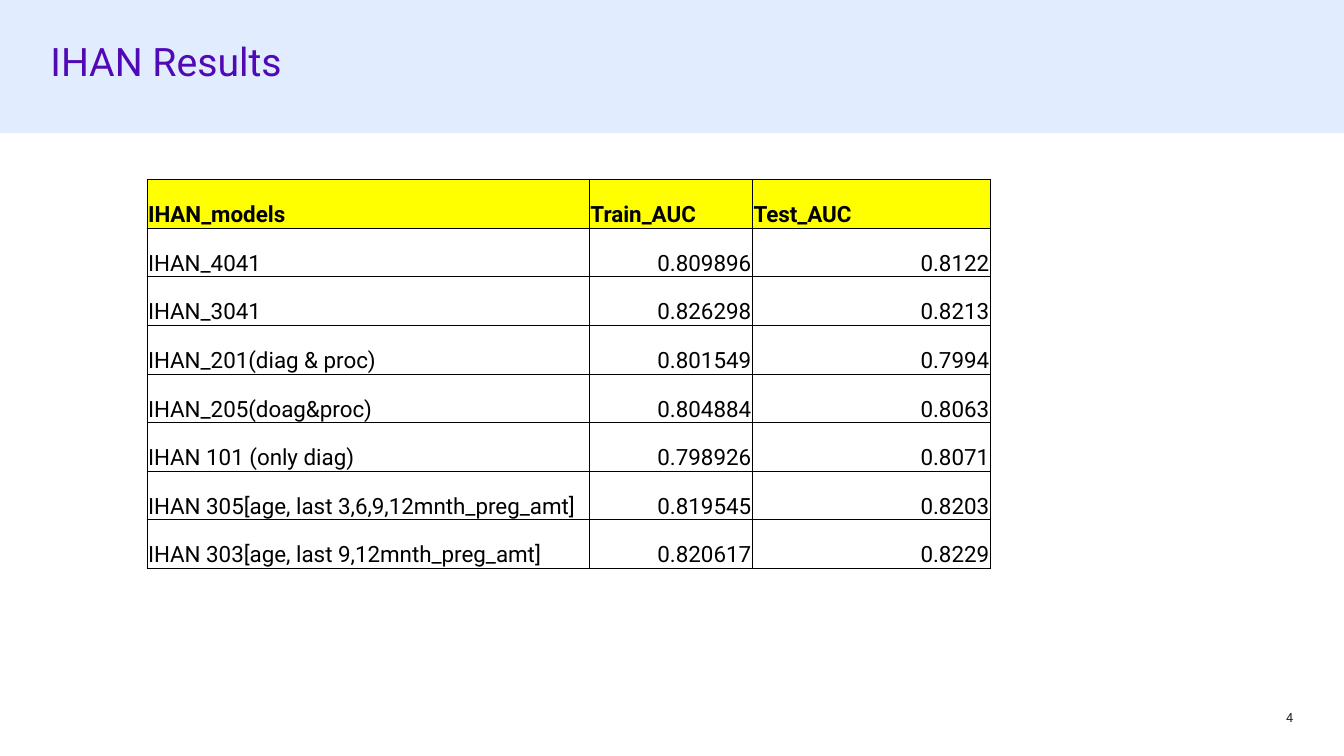
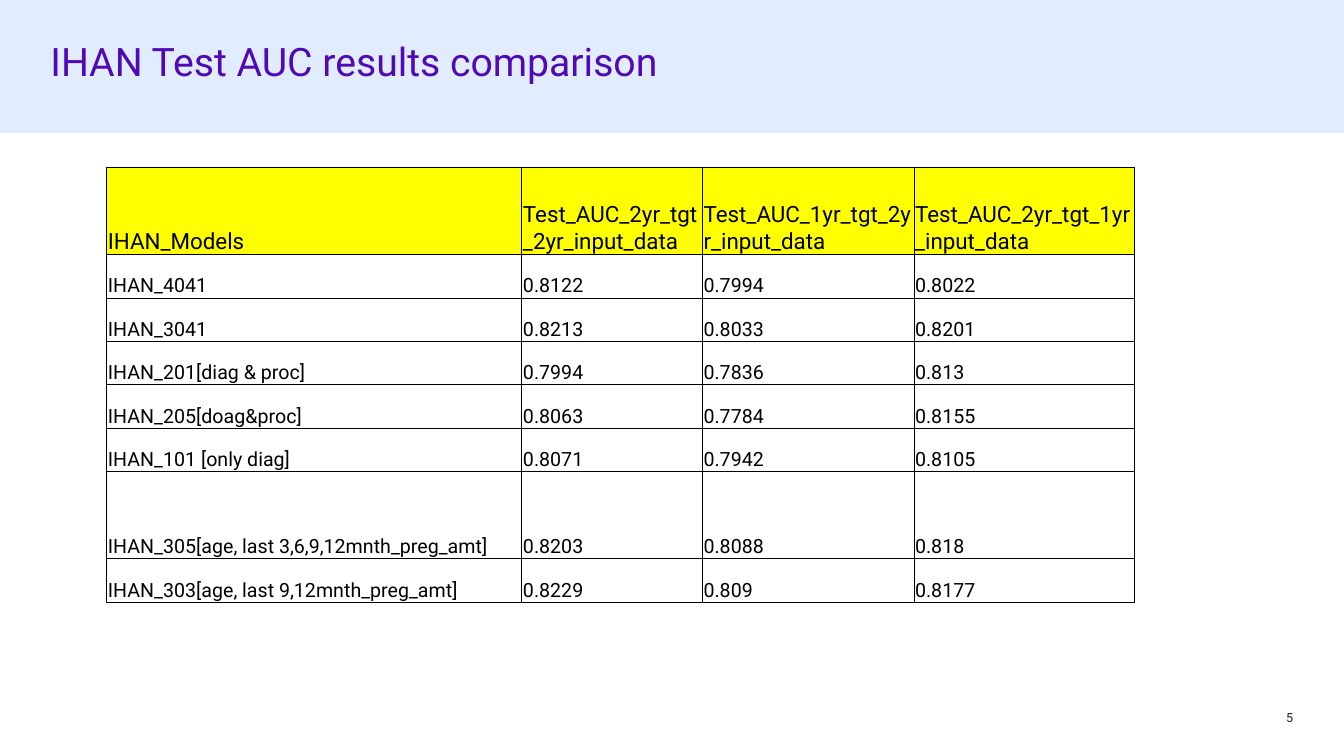
from lxml.etree import SubElement
from pptx import Presentation
from pptx.dml.color import RGBColor
from pptx.enum.shapes import MSO_SHAPE as Shape
from pptx.enum.text import MSO_ANCHOR as Anchor, MSO_AUTO_SIZE as AutoSize, PP_ALIGN as Align
from pptx.oxml.ns import qn
from pptx.util import Cm, Pt

WIDTH, HEIGHT = 33.87, 19.05
FONT = "Roboto"
COLORS = {"band": "E1EDFF", "title": "5009B5", "number": "231E33",
          "text": "000000", "header": "FFFF00", "border": "000000"}


def color(name):
    return RGBColor.from_string(COLORS[name])


def apply_format(target, values):
    for name, value in values.items():
        setattr(target, name, value)


class ResultDeck:
    """Holds the shared style and the slide being built."""

    frame_format = {"margin_left": 0, "margin_right": 0, "margin_top": 0,
                    "margin_bottom": 0, "word_wrap": True, "auto_size": AutoSize.NONE}
    cell_format = {"margin_left": Cm(0.03), "margin_right": Cm(0.03), "margin_top": Cm(0.03),
                   "margin_bottom": 0, "vertical_anchor": Anchor.BOTTOM}

    def __init__(self):
        self.deck = Presentation()
        apply_format(self.deck, {"slide_width": Cm(WIDTH), "slide_height": Cm(HEIGHT)})
        self.slide = None

    def add_text(self, frame, text, size, ink="text", bold=False, align=Align.LEFT):
        para = frame.paragraphs[0]
        para.alignment = align
        span = para.add_run()
        span.text = text
        apply_format(span.font, {"name": FONT, "size": Pt(size), "bold": bold})
        span.font.color.rgb = color(ink)
        return para

    def add_page(self, title, number):
        self.slide = self.deck.slides.add_slide(self.deck.slide_layouts[5])
        self.add_band()
        self.add_title(title)
        self.add_number(number)

    def add_band(self):
        band = self.slide.shapes.add_shape(Shape.RECTANGLE, 0, 0, Cm(WIDTH), Cm(3.35))
        band.shadow.inherit = False
        band.fill.solid()
        band.fill.fore_color.rgb = color("band")
        band.line.fill.background()
        # The band lies behind the title
        self.slide.shapes.title._element.addprevious(band._element)

    def add_title(self, text):
        title = self.slide.shapes.title
        apply_format(title, {"left": Cm(1.27), "top": Cm(1.07),
                             "width": Cm(31.32), "height": Cm(2.28)})
        apply_format(title.text_frame, {**self.frame_format, "vertical_anchor": Anchor.TOP})
        self.add_text(title.text_frame, text, 28, "title").line_spacing = 0.9

    def add_number(self, number):
        box = self.slide.shapes.add_textbox(Cm(31.55), Cm(17.88), Cm(1.04), Cm(0.38))
        apply_format(box.text_frame, {**self.frame_format, "vertical_anchor": Anchor.BOTTOM})
        self.add_text(box.text_frame, str(number), 9, "number", align=Align.RIGHT)

    def add_table(self, left, top, height, widths, rows, body_size,
                  header_bold=False, value_align=Align.LEFT, tall_rows=()):
        frame = self.slide.shapes.add_table(len(rows), len(widths), Cm(left), Cm(top),
                                            Cm(sum(widths)), Cm(height))
        table = frame.table
        apply_format(table, {"first_row": False, "horz_banding": False})
        for column, width in zip(table.columns, widths):
            column.width = Cm(width)

        # Tall rows take two units of height, the others one
        unit = height / (len(rows) + len(tall_rows))
        for r, values in enumerate(rows):
            table.rows[r].height = Cm(unit * (2 if r in tall_rows else 1))
            for c, value in enumerate(values):
                cell = table.cell(r, c)
                apply_format(cell, self.cell_format)
                self.add_borders(cell)
                if r == 0:
                    cell.fill.solid()
                    cell.fill.fore_color.rgb = color("header")
                    self.add_text(cell.text_frame, value, 16, bold=header_bold)
                else:
                    cell.fill.background()
                    self.add_text(cell.text_frame, value, body_size,
                                  align=value_align if c else Align.LEFT)

    def add_borders(self, cell):
        properties = cell._tc.get_or_add_tcPr()
        for side in ("lnL", "lnR", "lnT", "lnB"):
            line = SubElement(properties, qn(f"a:{side}"), w=str(Pt(0.5)))
            fill = SubElement(line, qn("a:solidFill"))
            SubElement(fill, qn("a:srgbClr"), val=COLORS["border"])


MODEL_ROWS = [
    ("IHAN_models", "Train_AUC", "Test_AUC"),
    ("IHAN_4041", "0.809896", "0.8122"),
    ("IHAN_3041", "0.826298", "0.8213"),
    ("IHAN_201(diag & proc)", "0.801549", "0.7994"),
    ("IHAN_205(doag&proc)", "0.804884", "0.8063"),
    ("IHAN 101 (only diag)", "0.798926", "0.8071"),
    ("IHAN 305[age, last 3,6,9,12mnth_preg_amt]", "0.819545", "0.8203"),
    ("IHAN 303[age, last 9,12mnth_preg_amt]", "0.820617", "0.8229"),
]

COMPARISON_ROWS = [
    ("IHAN_Models", "Test_AUC_2yr_tgt_2yr_input_data",
     "Test_AUC_1yr_tgt_2yr_input_data", "Test_AUC_2yr_tgt_1yr_input_data"),
    ("IHAN_4041", "0.8122", "0.7994", "0.8022"),
    ("IHAN_3041", "0.8213", "0.8033", "0.8201"),
    ("IHAN_201[diag & proc]", "0.7994", "0.7836", "0.813"),
    ("IHAN_205[doag&proc]", "0.8063", "0.7784", "0.8155"),
    ("IHAN_101 [only diag]", "0.8071", "0.7942", "0.8105"),
    ("IHAN_305[age, last 3,6,9,12mnth_preg_amt]", "0.8203", "0.8088", "0.818"),
    ("IHAN_303[age, last 9,12mnth_preg_amt]", "0.8229", "0.809", "0.8177"),
]


def main():
    results = ResultDeck()

    # Train and test results
    results.add_page("IHAN Results", 4)
    results.add_table(3.7, 4.52, 9.8, (11.15, 4.11, 6), MODEL_ROWS, 16,
                      header_bold=True, value_align=Align.RIGHT)

    # Test results by target and input period
    results.add_page("IHAN Test AUC results comparison", 5)
    results.add_table(2.69, 4.22, 10.95, (10.46, 4.55, 5.33, 5.56), COMPARISON_ROWS, 14,
                      tall_rows=(0, 6))

    results.deck.save("out.pptx")


if __name__ == "__main__":
    main()
